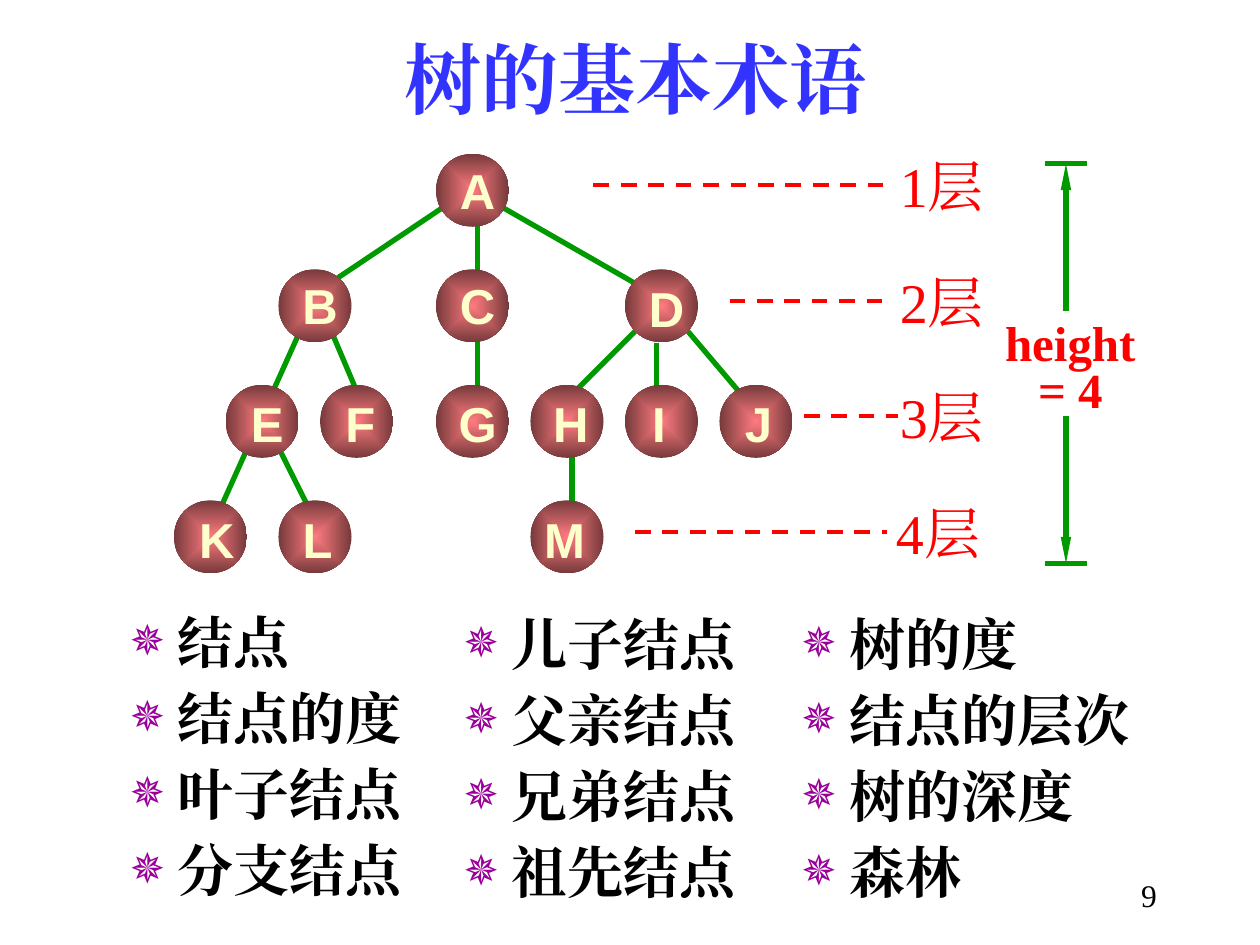
import lxml.etree
import pptx
import pptx.dml.color
import pptx.enum.dml
import pptx.enum.shapes
import pptx.enum.text
import pptx.oxml
import pptx.oxml.ns
import pptx.util

SERIF, SANS, CJK = "Times New Roman", "Arial", "Noto Sans CJK SC"
RED, GREEN = "FF0000", "009900"
ALIGN = pptx.enum.text.PP_ALIGN
ANCHOR = pptx.enum.text.MSO_ANCHOR
ROW_TOP, ROW_STEP, DIAMETER = 1.22, 0.917, 0.58

TITLE_FORMAT = {"size": 44, "color": "3333FF", "bold": True}
LEVEL_FORMAT = {"size": 32, "color": RED}
HEIGHT_FORMAT = {"size": 28, "color": RED, "bold": True}
NODE_FORMAT = {"size": 28, "color": "FFFFCC", "bold": True, "name": SANS}
LIST_FORMAT = {"size": 32, "color": "000000", "bold": True}
NUMBER_FORMAT = {"size": 18, "color": "000000"}

# letter: (row, circle left, label centre)
NODES = {
    "A": (0, 3.46, 3.79), "B": (1, 2.21, 2.54), "C": (1, 3.46, 3.79),
    "D": (1, 4.96, 5.29), "E": (2, 1.79, 2.12), "F": (2, 2.54, 2.86),
    "G": (2, 3.46, 3.79), "H": (2, 4.21, 4.53), "I": (2, 4.96, 5.23),
    "J": (2, 5.71, 6.02), "K": (3, 1.38, 1.72), "L": (3, 2.21, 2.52),
    "M": (3, 4.21, 4.48),
}
BRANCHES = [
    (5.46, 2.63, 5.96, 3.22), (5.04, 2.63, 4.54, 3.13),
    (5.21, 2.72, 5.21, 3.13), (4.54, 3.63, 4.54, 4.13),
    (3.96, 1.63, 5.13, 2.3), (3.54, 1.63, 2.54, 2.3),
    (3.79, 1.72, 3.79, 3.63), (2.63, 2.63, 2.88, 3.22),
    (2.21, 3.55, 2.46, 4.05), (2.38, 2.63, 1.63, 4.3),
]
# dash start, dash end, label left
LEVELS = [(4.71, 7.04, 6.99), (5.79, 7.04, 6.99),
          (6.38, 7.13, 6.99), (5.04, 7.04, 6.96)]
TERMS = [
    ((0.93, 4.75, 2.42, 2.33), ["结点", "结点的度", "叶子结点", "分支结点"]),
    ((3.58, 4.77, 2.4, 2.52), ["儿子结点", "父亲结点", "兄弟结点", "祖先结点"]),
    ((6.26, 4.77, 2.99, 2.36), [[("树的", CJK), ("度", SERIF)],
                                [("结点的层次", CJK)], "树的深度", [("森林", CJK)]]),
]


def color(value):
    """Turn a hex string into a colour."""
    return pptx.dml.color.RGBColor.from_string(value)


def inches(values):
    """Turn numbers into lengths."""
    return [pptx.util.Inches(value) for value in values]


def element(parent, tag, **attributes):
    """Append a drawing element."""
    return lxml.etree.SubElement(parent, pptx.oxml.ns.qn(tag), attributes)


def add_run(paragraph, text, size, color_hex, bold=False, name=SERIF):
    """Add one formatted run."""
    run = paragraph.add_run()
    run.text = text
    values = {"size": pptx.util.Pt(size), "bold": bold, "name": name}
    for key, value in values.items():
        setattr(run.font, key, value)
    run.font.color.rgb = color(color_hex)
    element(run.font._element, "a:ea", typeface=SERIF)


def write(shape, lines, text_format, frame=None, paragraph_format=None, bullet=False):
    """Fill a shape with formatted paragraphs."""
    settings = {"word_wrap": False, "vertical_anchor": ANCHOR.MIDDLE,
                "auto_size": pptx.enum.text.MSO_AUTO_SIZE.NONE}
    for key, value in {**settings, **(frame or {})}.items():
        setattr(shape.text_frame, key, value)
    options = dict(text_format)
    size, color_hex = options.pop("size"), options.pop("color")
    for index, line in enumerate(lines):
        first = index == 0
        paragraph = shape.text_frame.paragraphs[0] if first else shape.text_frame.add_paragraph()
        if bullet:
            add_bullet(paragraph)
        for key, value in (paragraph_format or {"alignment": ALIGN.CENTER}).items():
            setattr(paragraph, key, value)
        if first:
            paragraph.space_before = pptx.util.Pt(0)
        for text, name in [(line, options.get("name", SERIF))] if isinstance(line, str) else line:
            add_run(paragraph, text, size, color_hex, options.get("bold", False), name)


def add_bullet(paragraph):
    """Give a paragraph a hanging star bullet."""
    properties = paragraph._p.get_or_add_pPr()
    indent = pptx.util.Inches(0.38)
    properties.set("marL", str(indent))
    properties.set("indent", str(-indent))
    element(element(properties, "a:buClr"), "a:srgbClr", val="990099")
    element(properties, "a:buSzPct", val="75000")
    element(properties, "a:buChar", char="✵")


def add_label(slide, box, lines, text_format, **options):
    """Add a text box."""
    write(slide.shapes.add_textbox(*inches(box)), lines, text_format, **options)


def add_line(slide, ends, color_hex, width, dashed=False, arrow=False):
    """Add a straight line, with an arrowhead at its end if wanted."""
    connector = slide.shapes.add_connector(
        pptx.enum.shapes.MSO_CONNECTOR.STRAIGHT, *inches(ends))
    connector.line.color.rgb = color(color_hex)
    connector.line.width = pptx.util.Pt(width)
    if dashed:
        connector.line.dash_style = pptx.enum.dml.MSO_LINE.DASH
    if arrow:
        element(connector.line._ln, "a:tailEnd", type="triangle", w="sm", len="lg")
    element(connector._element.spPr, "a:effectLst")


def add_circle(slide, left, top):
    """Add a tree node with a gradient from its centre."""
    circle = slide.shapes.add_shape(pptx.enum.shapes.MSO_SHAPE.OVAL,
                                    *inches((left, top, DIAMETER, DIAMETER)))
    circle.shadow.inherit = False
    circle.line.fill.background()
    circle.fill.gradient()
    for stop, value in zip(circle.fill.gradient_stops, ("FF7C80", "76393B")):
        stop.color.rgb = color(value)
    gradient = circle._element.spPr.find(pptx.oxml.ns.qn("a:gradFill"))
    gradient.remove(gradient.find(pptx.oxml.ns.qn("a:lin")))
    center = element(gradient, "a:path", path="rect")
    element(center, "a:fillToRect", l="50000", t="50000", r="50000", b="50000")


def place(shape, box):
    """Move and size a placeholder."""
    for key, value in zip(("left", "top", "width", "height"), inches(box)):
        setattr(shape, key, value)


def add_tree(slide):
    """Draw the branches, then the nodes and their letters."""
    for branch in BRANCHES:
        add_line(slide, branch, GREEN, 3)
    for row, left, _ in NODES.values():
        add_circle(slide, left, ROW_TOP + row * ROW_STEP)
    for letter, (row, _, center) in NODES.items():
        drop = 0.02 if row > 1 or letter == "D" else 0
        box = (center - 0.25, ROW_TOP + row * ROW_STEP + drop, 0.5, 0.57)
        add_label(slide, box, [letter], NODE_FORMAT)


def add_levels(slide):
    """Draw the dashed level lines and their labels."""
    for row, (start, end, left) in enumerate(LEVELS):
        y = 1.47 + row * ROW_STEP
        add_line(slide, (start, y, end, y), RED, 2.25, dashed=True)
        add_label(slide, (left, y - 0.32, 0.97, 0.64), [f"{row + 1}层"], LEVEL_FORMAT)


def add_height(slide):
    """Draw the height measure."""
    add_label(slide, (7.88, 2.52, 1.23, 0.85), ["height", "= 4"], HEIGHT_FORMAT,
              paragraph_format={"alignment": ALIGN.CENTER, "line_spacing": 0.8})
    for start, end in ((2.47, 1.3), (3.3, 4.47)):
        add_line(slide, (8.29, end, 8.63, end), GREEN, 3)
        add_line(slide, (8.46, start, 8.46, end), GREEN, 3, arrow=True)


def main():
    """Build and save the slide."""
    presentation = pptx.Presentation()
    presentation.slide_width, presentation.slide_height = inches((10, 7.5))
    slide = presentation.slides.add_slide(presentation.slide_layouts[4])
    title, *bodies = slide.placeholders
    place(title, (3.11, 0.21, 4.88, 0.82))
    title.fill.solid()
    title.fill.fore_color.rgb = color("FFFFFF")
    write(title, ["树的基本术语"], TITLE_FORMAT, paragraph_format={"alignment": ALIGN.LEFT})
    add_levels(slide)
    add_height(slide)
    add_tree(slide)
    for body, (box, terms) in zip(bodies, TERMS):
        place(body, box)
        write(body, terms, LIST_FORMAT, bullet=True,
              frame={"word_wrap": True, "vertical_anchor": ANCHOR.TOP,
                     "margin_top": pptx.util.Inches(0.07)},
              paragraph_format={"alignment": ALIGN.LEFT, "space_before": pptx.util.Pt(5)})
    for body in bodies[len(TERMS):]:
        body._element.getparent().remove(body._element)
    add_label(slide, (7.2, 6.9, 2.08, 0.5), ["9"], NUMBER_FORMAT,
              frame={"word_wrap": True, "vertical_anchor": ANCHOR.TOP},
              paragraph_format={"alignment": ALIGN.RIGHT})
    presentation.save("out.pptx")


if __name__ == "__main__":
    main()
